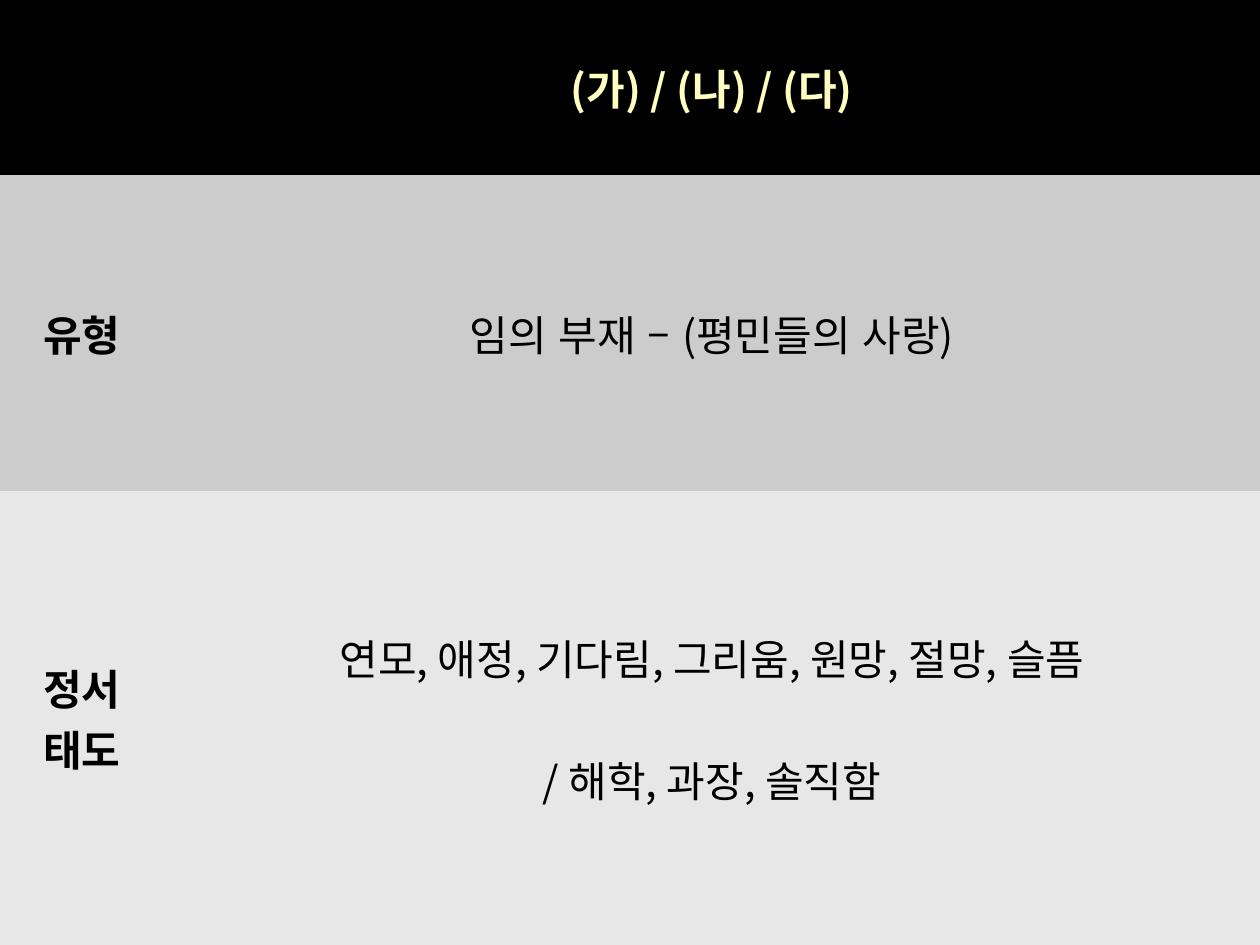
from lxml.etree import SubElement
from pptx import Presentation
from pptx.dml.color import RGBColor
from pptx.enum.lang import MSO_LANGUAGE_ID
from pptx.enum.text import MSO_ANCHOR, PP_ALIGN
from pptx.oxml.ns import qn
from pptx.util import Inches, Pt

FONT = "Noto Sans CJK KR"
COLORS = {
    "head": "000000",
    "type": "CCCCCC",
    "mood": "E7E7E7",
    "cream": "FFFFBF",
    "ink": "000000",
}
COLS = [1.3, 8.7]
ROWS = [
    (1.39, "head", "cream", [], ["(가) / (나) / (다)"]),
    (2.51, "type", "ink", ["유형"], ["임의 부재 – (평민들의 사랑)"]),
    (3.6, "mood", "ink", ["정서", "태도"],
     ["연모, 애정, 기다림, 그리움, 원망, 절망, 슬픔", "/ 해학, 과장, 솔직함"]),
]


def color(name):
    return RGBColor.from_string(COLORS[name])


def fill_cell(cell, lines, back, ink, bold, gap):
    cell.fill.solid()
    cell.fill.fore_color.rgb = color(back)
    cell.vertical_anchor = MSO_ANCHOR.MIDDLE
    frame = cell.text_frame
    for i, line in enumerate(lines):
        para = frame.add_paragraph() if i else frame.paragraphs[0]
        para.alignment = PP_ALIGN.CENTER
        para.space_before = Pt(gap if i else 0)
        run = para.add_run()
        run.text = line
        font = run.font
        font.name = FONT
        font.size = Pt(24)
        font.bold = bold
        font.color.rgb = color(ink)
        font.language_id = MSO_LANGUAGE_ID.KOREAN
        SubElement(font._element, qn("a:ea")).set("typeface", FONT)


def add_grid(slide, left, top, width, height):
    frame = slide.shapes.add_table(len(ROWS), len(COLS), left, top, width, height)
    table = frame.table
    for col, size in zip(table.columns, COLS):
        col.width = Inches(size)
    for r, (size, back, ink, label, body) in enumerate(ROWS):
        table.rows[r].height = Inches(size)
        fill_cell(table.cell(r, 0), label, back, ink, True, 0)
        fill_cell(table.cell(r, 1), body, back, ink, r == 0, 35)
    table.first_row = False
    table.horz_banding = False
    style = table._tbl.tblPr.find(qn("a:tableStyleId"))
    style.text = "{2D5ABB26-0587-4C30-8999-92F81FD0307C}"


def main():
    deck = Presentation()
    deck.slide_width = Inches(10)
    deck.slide_height = Inches(7.5)
    slide = deck.slides.add_slide(deck.slide_layouts[6])
    add_grid(slide, Inches(0), Inches(0), Inches(10), Inches(7.5))
    deck.save("out.pptx")


if __name__ == "__main__":
    main()
